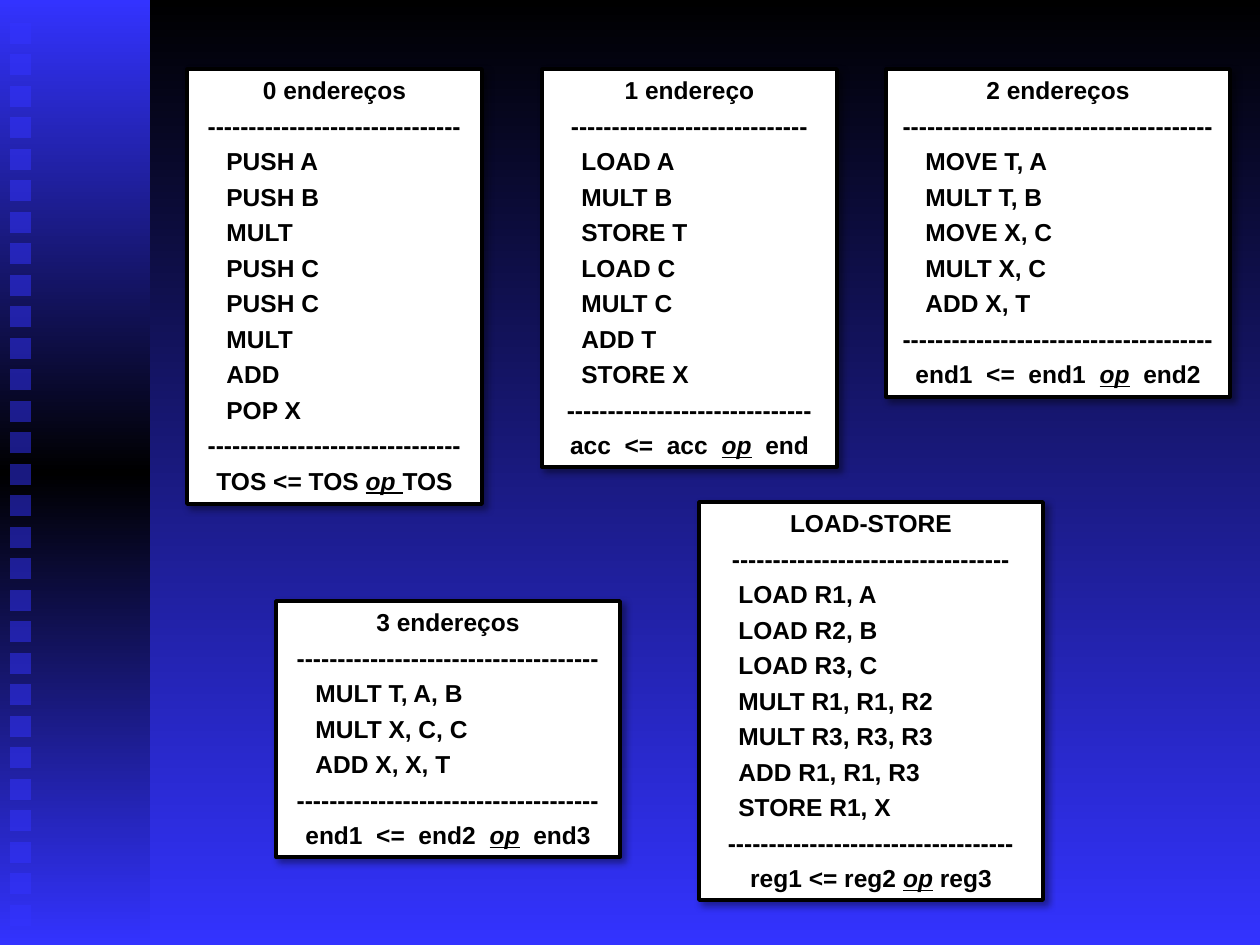
import pptx
import pptx.dml.color
import pptx.enum.shapes
import pptx.enum.text
import pptx.oxml
import pptx.oxml.ns
import pptx.util

BLACK = pptx.dml.color.RGBColor(0x00, 0x00, 0x00)
WHITE = pptx.dml.color.RGBColor(0xFF, 0xFF, 0xFF)
BLUE = pptx.dml.color.RGBColor(0x33, 0x33, 0xFF)

EMU_PER_PX = 914400 / 126
SLIDE_WIDTH, SLIDE_HEIGHT = 1260, 945
CODE_INDENT = 27

# left, top, width, height, title, upper rule length, code, lower rule length, operation
CARDS = [
    (187, 69, 295, 435, "0 endereços", 31,
     ["PUSH A", "PUSH B", "MULT", "PUSH C", "PUSH C", "MULT", "ADD", "POP X"],
     31, ("TOS <= TOS ", "op ", "TOS")),
    (542, 69, 295, 398, "1 endereço", 29,
     ["LOAD A", "MULT B", "STORE T", "LOAD C", "MULT C", "ADD T", "STORE X"],
     30, ("acc  <=  acc  ", "op", "  end")),
    (886, 69, 344, 328, "2 endereços", 38,
     ["MOVE T, A", "MULT T, B", "MOVE X, C", "MULT X, C", "ADD X, T"],
     38, ("end1  <=  end1  ", "op", "  end2")),
    (276, 601, 344, 256, "3 endereços", 37,
     ["MULT T, A, B", "MULT X, C, C", "ADD X, X, T"],
     37, ("end1  <=  end2  ", "op", "  end3")),
    (699, 502, 344, 398, "LOAD-STORE", 34,
     ["LOAD R1, A", "LOAD R2, B", "LOAD R3, C", "MULT R1, R1, R2",
      "MULT R3, R3, R3", "ADD R1, R1, R3", "STORE R1, X"],
     35, ("reg1 <= reg2 ", "op", " reg3")),
]


def px(length):
    return pptx.util.Emu(round(length * EMU_PER_PX))


def xml(markup):
    """Parse one element of the a: namespace."""
    head, rest = markup.split(" ", 1)
    return pptx.oxml.parse_xml(f"{head} {pptx.oxml.ns.nsdecls('a')} {rest}")


def find(element, tag):
    return next(element.iter(pptx.oxml.ns.qn(tag)))


def fill_gradient(fill, owner, colors):
    """Fill from top to bottom with evenly spaced colours."""
    fill.gradient()
    fill.gradient_angle = 270
    stops = find(owner, "a:gsLst")
    for stop in list(stops):
        stops.remove(stop)
    for index, color in enumerate(colors):
        position = 100000 * index // (len(colors) - 1)
        stops.append(xml(f'<a:gs pos="{position}"><a:srgbClr val="{color}"/></a:gs>'))


def add_text(paragraph, text, size=14, color=BLACK, bold=True, emphasis=False):
    run = paragraph.add_run()
    run.text = text
    run.font.name = "Arial"
    run.font.size = pptx.util.Pt(size)
    run.font.color.rgb = color
    run.font.bold = bold
    run.font.italic = run.font.underline = emphasis


class SlideBuilder:
    def __init__(self, slide):
        self.slide = slide

    def background(self, colors):
        fill_gradient(self.slide.background.fill, self.slide.element, colors)

    def rectangle(self, left, top, width, height):
        shape = self.slide.shapes.add_shape(
            pptx.enum.shapes.MSO_SHAPE.RECTANGLE,
            px(left), px(top), px(width), px(height))
        shape.shadow.inherit = False
        shape.line.fill.background()
        return shape

    def sidebar(self, width, colors):
        bar = self.rectangle(0, 0, width, SLIDE_HEIGHT)
        fill_gradient(bar.fill, bar.element, colors)

    def square(self, left, top, side):
        square = self.rectangle(left, top, side, side)
        square.fill.solid()
        square.fill.fore_color.rgb = BLUE
        find(square.element, "a:srgbClr").append(xml('<a:alpha val="50000"/>'))

    def card(self, left, top, width, height, title, upper, code, lower, operation):
        card = self.rectangle(left, top, width, height)
        card.fill.solid()
        card.fill.fore_color.rgb = WHITE
        card.line.fill.solid()
        card.line.color.rgb = BLACK
        card.line.width = pptx.util.Pt(2)
        find(card.element, "a:effectLst").append(xml(
            '<a:outerShdw blurRad="50800" dist="38100" dir="2700000" algn="tl"'
            ' rotWithShape="0"><a:srgbClr val="000000"><a:alpha val="40000"/>'
            '</a:srgbClr></a:outerShdw>'))

        frame = card.text_frame
        frame.word_wrap = True
        frame.vertical_anchor = pptx.enum.text.MSO_ANCHOR.TOP
        lines = [(title,), ("-" * upper,), *code, ("-" * lower,), operation]
        for index, line in enumerate(lines):
            paragraph = frame.add_paragraph() if index else frame.paragraphs[0]
            paragraph.space_before = pptx.util.Pt(3.5)
            if isinstance(line, str):
                paragraph.alignment = pptx.enum.text.PP_ALIGN.LEFT
                find(paragraph._p, "a:pPr").set("marL", str(px(CODE_INDENT)))
                add_text(paragraph, line)
                continue
            paragraph.alignment = pptx.enum.text.PP_ALIGN.CENTER
            for part, text in enumerate(line):
                add_text(paragraph, text, emphasis=part == 1)


def main():
    deck = pptx.Presentation()
    deck.slide_width, deck.slide_height = px(SLIDE_WIDTH), px(SLIDE_HEIGHT)
    builder = SlideBuilder(deck.slides.add_slide(deck.slide_layouts[6]))

    builder.background([BLACK, BLUE])
    builder.sidebar(150, [BLUE, BLACK, BLUE])
    for row in range(29):
        builder.square(10, 23 + row * 63 // 2, 21)
    for card in CARDS:
        builder.card(*card)

    deck.save("out.pptx")


if __name__ == "__main__":
    main()
